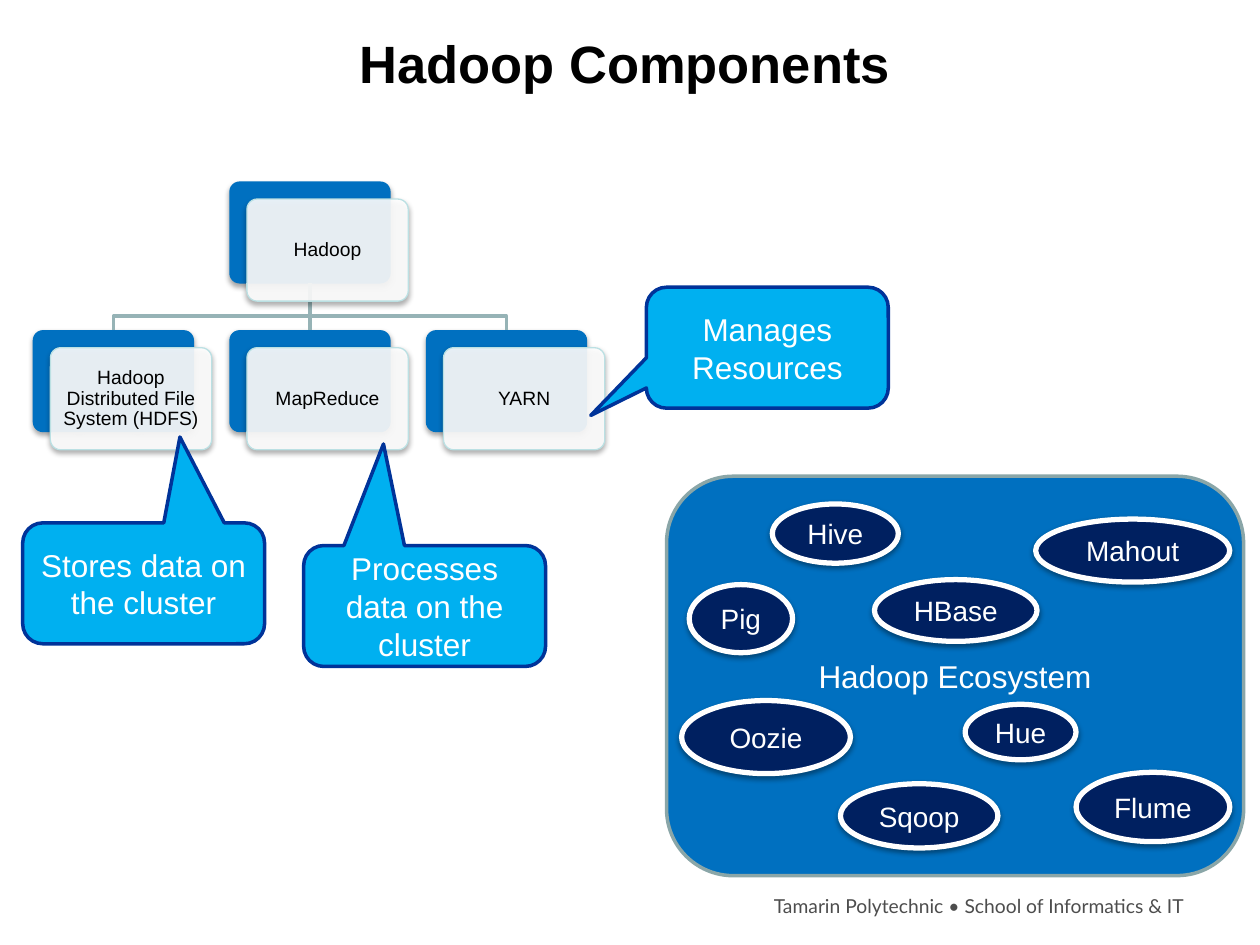
from lxml.etree import SubElement
from pptx import Presentation
from pptx.dml.color import RGBColor
from pptx.enum.shapes import MSO_CONNECTOR, MSO_SHAPE as SHAPE
from pptx.enum.text import MSO_ANCHOR, MSO_AUTO_SIZE, PP_ALIGN as ALIGN
from pptx.oxml.ns import qn
from pptx.util import Inches, Pt

BLACK = RGBColor(0x00, 0x00, 0x00)
WHITE = RGBColor(0xFF, 0xFF, 0xFF)
GREY = RGBColor(0x4D, 0x4D, 0x4D)
BLUE = RGBColor(0x00, 0x70, 0xC0)
SKY = RGBColor(0x00, 0xB0, 0xF0)
NAVY = RGBColor(0x00, 0x20, 0x60)
ROYAL = RGBColor(0x00, 0x33, 0x99)
TREE_LINE = RGBColor(0x96, 0xB3, 0xB6)
CARD_LINE = RGBColor(0xBB, 0xE0, 0xE3)
PANEL_LINE = RGBColor(0x8A, 0xA6, 0xA8)

# Content
TITLE = "Hadoop Components"
FOOTER = "Tamarin Polytechnic • School of Informatics & IT"
ROOT = "Hadoop"
CHILDREN = ["Hadoop Distributed File System (HDFS)", "MapReduce", "YARN"]
PANEL = ("Hadoop Ecosystem", (5.29, 3.78, 4.58, 3.17))
CALLOUTS = [  # text, left, top, pointer tip
    ("Stores data on the cluster", 0.18, 4.15, (0.15, -1.21)),
    ("Processes data on the cluster", 2.41, 4.33, (-0.17, -1.34)),
    ("Manages Resources", 5.13, 2.28, (-0.73, 0.56)),
]
TOOLS = [
    ("Pig", (5.47, 4.64, 0.82, 0.54)),
    ("Hive", (6.13, 4.0, 1.0, 0.47)),
    ("HBase", (6.94, 4.6, 1.29, 0.49)),
    ("Flume", (8.54, 6.13, 1.22, 0.55)),
    ("Oozie", (5.41, 5.56, 1.34, 0.58)),
    ("Sqoop", (6.67, 6.22, 1.25, 0.51)),
    ("Mahout", (8.22, 4.12, 1.54, 0.5)),
    ("Hue", (7.66, 5.59, 0.88, 0.44)),
]

# Tree geometry
CARD_W, CARD_H = 1.28, 0.81
CARD_SHIFT = 0.14
TREE_LEFT, COLUMN_STEP = 0.26, 1.56
ROOT_TOP, CHILD_TOP, BEND_Y = 1.44, 2.62, 2.51
CALLOUT_SIZE = (1.92, 0.96)


def write(shape, text, size, color, font="Arial", align=ALIGN.CENTER, bold=False):
    frame = shape.text_frame
    frame.text = text
    frame.word_wrap = True
    frame.vertical_anchor = MSO_ANCHOR.MIDDLE
    paragraph = frame.paragraphs[0]
    paragraph.alignment = align
    run_font = paragraph.runs[0].font
    run_font.name, run_font.size, run_font.bold = font, Pt(size), bold
    run_font.color.rgb = color


def add_box(slide, kind, box, fill, line=None, width=0):
    shape = slide.shapes.add_shape(kind, *map(Inches, box))
    shape.shadow.inherit = False
    shape.fill.solid()
    shape.fill.fore_color.rgb = fill
    if line is None:
        shape.line.fill.background()
    else:
        shape.line.color.rgb = line
        shape.line.width = Pt(width)
    return shape


def add_shadow(shape, distance, opacity):
    effects = shape._element.spPr.find(qn("a:effectLst"))
    shadow = SubElement(effects, qn("a:outerShdw"), blurRad=str(Pt(3.1)),
                        dist=str(Pt(distance)), dir="5400000", rotWithShape="0")
    color = SubElement(shadow, qn("a:srgbClr"), val="000000")
    SubElement(color, qn("a:alpha"), val=str(opacity * 1000))


def style_line(shape):
    shape.line.color.rgb = TREE_LINE
    shape.line.width = Pt(2)


def add_card_back(slide, left, top):
    back = add_box(slide, SHAPE.ROUNDED_RECTANGLE, (left, top, CARD_W, CARD_H), BLUE)
    back.adjustments[0] = 0.1
    add_shadow(back, 1.8, 35)
    return back


def add_card_front(slide, text, left, top):
    box = (left + CARD_SHIFT, top + CARD_SHIFT, CARD_W, CARD_H)
    front = add_box(slide, SHAPE.ROUNDED_RECTANGLE, box, WHITE, CARD_LINE, 0.75)
    front.adjustments[0] = 0.1
    fill_color = front._element.spPr.find(qn("a:solidFill"))[0]
    SubElement(fill_color, qn("a:alpha"), val="90000")
    add_shadow(front, 1.8, 35)
    write(front, text, 11, BLACK)
    frame = front.text_frame
    frame.margin_left = frame.margin_right = Inches(0.07)
    frame.margin_top = frame.margin_bottom = Inches(0.07)
    frame.paragraphs[0].line_spacing = 0.9


def add_tree(slide):
    lefts = [TREE_LEFT + i * COLUMN_STEP for i in range(len(CHILDREN))]
    root_left = lefts[len(lefts) // 2]
    root = add_card_back(slide, root_left, ROOT_TOP)
    root_x, root_bottom = root_left + CARD_W / 2, ROOT_TOP + CARD_H

    # Branches: straight to the middle child, bent to the others
    for left in lefts:
        back = add_card_back(slide, left, CHILD_TOP)
        if left == root_left:
            branch = slide.shapes.add_connector(MSO_CONNECTOR.STRAIGHT, 0, 0, 0, 0)
            branch.begin_connect(root, 2)
            branch.end_connect(back, 0)
            style_line(branch)
            SubElement(branch._element.spPr, qn("a:effectLst"))
            continue
        x = left + CARD_W / 2
        builder = slide.shapes.build_freeform(Inches(root_x), Inches(root_bottom))
        corners = [(root_x, BEND_Y), (x, BEND_Y), (x, CHILD_TOP)]
        builder.add_line_segments([(Inches(a), Inches(b)) for a, b in corners], close=False)
        branch = builder.convert_to_shape()
        branch.shadow.inherit = False
        branch.fill.background()
        style_line(branch)

    # Labelled cards in front
    add_card_front(slide, ROOT, root_left, ROOT_TOP)
    for text, left in zip(CHILDREN, lefts):
        add_card_front(slide, text, left, CHILD_TOP)


def main():
    presentation = Presentation()
    presentation.slide_width, presentation.slide_height = Inches(10), Inches(7.5)
    slide = presentation.slides.add_slide(presentation.slide_layouts[5])

    # Title
    title = slide.shapes.title
    title.left, title.top = Inches(0.08), Inches(0.33)
    title.width, title.height = Inches(9.18), Inches(0.33)
    write(title, TITLE, 30, BLACK, bold=True)
    title.text_frame.auto_size = MSO_AUTO_SIZE.NONE
    title.text_frame.margin_left = Inches(0.68)

    # Footer
    footer = slide.shapes.add_textbox(*map(Inches, (5.33, 7.05, 4.25, 0.28)))
    write(footer, FOOTER, 11, GREY, "Lato", ALIGN.RIGHT)
    footer.text_frame.margin_right = Inches(0.18)

    add_tree(slide)

    # Ecosystem panel and its tools
    text, box = PANEL
    panel = add_box(slide, SHAPE.ROUNDED_RECTANGLE, box, BLUE, PANEL_LINE, 2)
    write(panel, text, 18, WHITE)
    for text, box in TOOLS:
        tool = add_box(slide, SHAPE.OVAL, box, NAVY, WHITE, 3)
        add_shadow(tool, 1.6, 38)
        write(tool, text, 16, WHITE)

    # Callouts
    for text, left, top, tip in CALLOUTS:
        callout = add_box(slide, SHAPE.ROUNDED_RECTANGULAR_CALLOUT,
                          (left, top, *CALLOUT_SIZE), SKY, ROYAL, 2)
        callout.adjustments[0], callout.adjustments[1] = tip
        write(callout, text, 18, WHITE)

    presentation.save("out.pptx")


if __name__ == "__main__":
    main()
